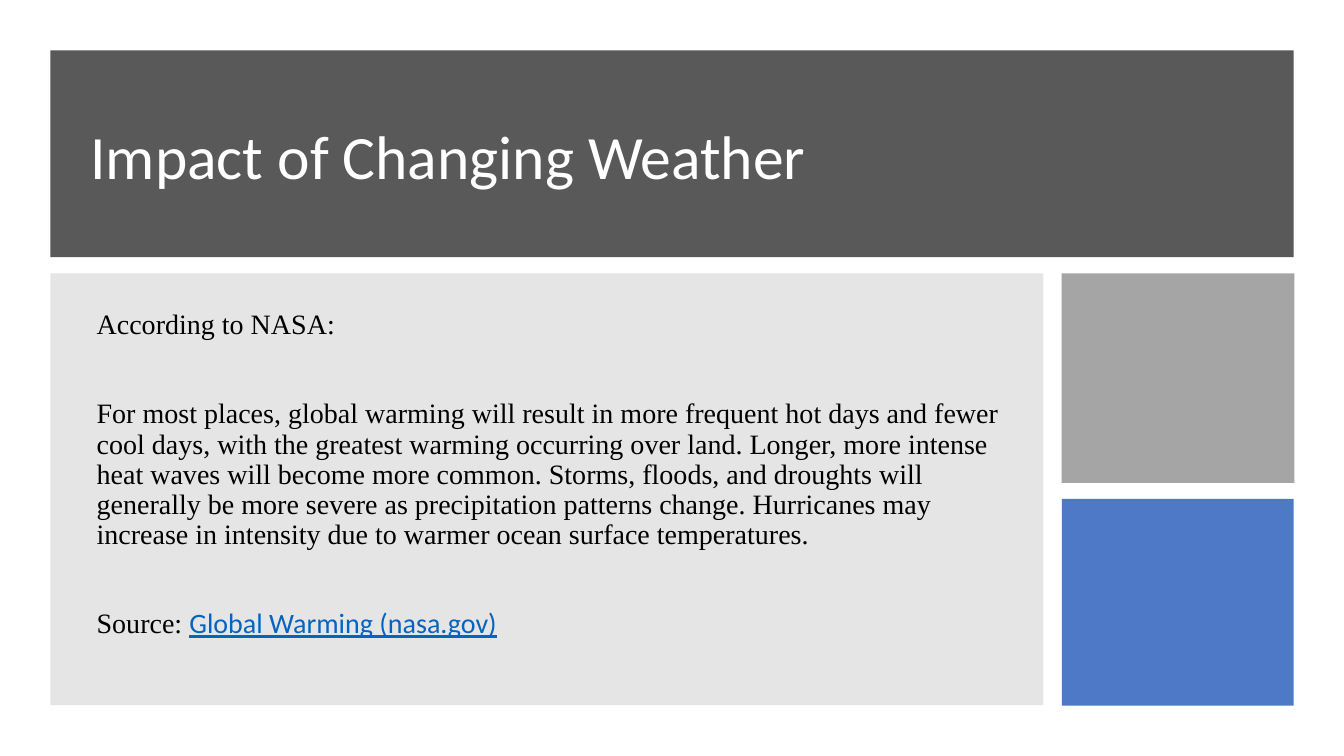
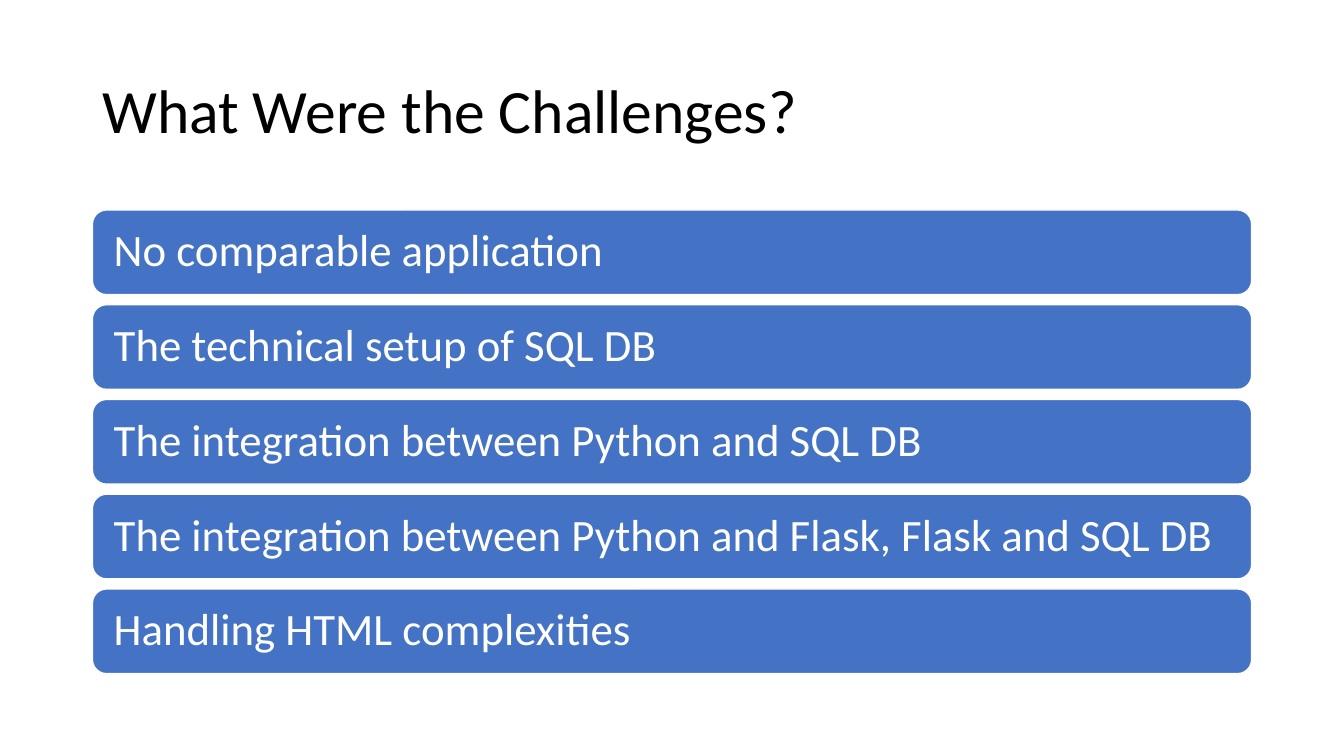
from lxml.etree import SubElement
from pptx import Presentation
from pptx.dml.color import RGBColor
from pptx.enum.shapes import MSO_SHAPE
from pptx.enum.text import MSO_ANCHOR, PP_ALIGN
from pptx.oxml.ns import qn
from pptx.util import Inches, Pt

COLORS = {
    "white": "FFFFFF", "black": "000000", "charcoal": "595959", "gray": "808080",
    "silver": "A5A5A5", "blue": "4472C4", "link": "0563C1",
}
FORMATS = {
    "title": {"name": "Calibri", "size": Pt(44)},
    "body": {"name": "Times New Roman", "size": Pt(20)},
    "source": {"name": "Calibri", "size": Pt(20), "underline": True},
    "bar": {"name": "Calibri", "size": Pt(32)},
}
COLUMNS, ROWS = 80, 45
CHALLENGES = [
    "No comparable application",
    "The technical setup of SQL DB",
    "The integration between Python and SQL DB",
    "The integration between Python and Flask, Flask and SQL DB",
    "Handling HTML complexities",
]
WARMING = (
    "For most places, global warming will result in more frequent hot days and fewer "
    "cool days, with the greatest warming occurring over land. Longer, more intense "
    "heat waves will become more common. Storms, floods, and droughts will generally "
    "be more severe as precipitation patterns change. Hurricanes may increase in "
    "intensity due to warmer ocean surface temperatures."
)


class Painter:
    """Draws styled elements on the current slide, placed in columns and rows."""

    def __init__(self):
        self.deck = Presentation()
        self.deck.slide_width, self.deck.slide_height = Inches(13.33), Inches(7.5)
        self.page = None

    def new_page(self):
        self.page = self.deck.slides.add_slide(self.deck.slide_layouts[6])

    def place(self, left, top, width, height):
        column = self.deck.slide_width / COLUMNS
        row = self.deck.slide_height / ROWS
        return [round(n) for n in (left * column, top * row, width * column, height * row)]

    def block(self, area, color, opacity=100, preset=MSO_SHAPE.RECTANGLE):
        shape = self.page.shapes.add_shape(preset, *self.place(*area))
        shape.shadow.inherit = False
        shape.fill.solid()
        shape.fill.fore_color.rgb = RGBColor.from_string(COLORS[color])
        shape.line.fill.background()
        if opacity < 100:
            tint = shape.element.spPr.find(qn("a:solidFill")).find(qn("a:srgbClr"))
            SubElement(tint, qn("a:alpha"), val=str(opacity * 1000))
        return shape

    def fill_text(self, shape, paragraphs, anchor=MSO_ANCHOR.MIDDLE, gap=0):
        frame = shape.text_frame
        frame.word_wrap = True
        frame.vertical_anchor = anchor
        for index, spans in enumerate(paragraphs):
            para = frame.add_paragraph() if index else frame.paragraphs[0]
            para.alignment = PP_ALIGN.LEFT
            para.line_spacing = 0.9
            para.space_before = Pt(gap if index else 0)
            for text, style, color in spans:
                span = para.add_run()
                span.text = text
                for key, value in FORMATS[style].items():
                    setattr(span.font, key, value)
                span.font.color.rgb = RGBColor.from_string(COLORS[color])

    def text(self, area, paragraphs, **layout):
        box = self.page.shapes.add_textbox(*self.place(*area))
        self.fill_text(box, paragraphs, **layout)

    def title(self, area, text, color):
        self.text(area, [[(text, "title", color)]])

    def bar(self, area, text):
        shape = self.block(area, "blue", preset=MSO_SHAPE.ROUNDED_RECTANGLE)
        shape.line.color.rgb = RGBColor.from_string(COLORS["white"])
        shape.line.width = Pt(1)
        shape.text_frame.margin_left = shape.text_frame.margin_right = Inches(0.17)
        self.fill_text(shape, [[(text, "bar", "white")]])


def weather_page(painter):
    painter.new_page()
    painter.block((3, 3, 74, 12.3), "charcoal")
    painter.title((4.8, 4.8, 70, 9.36), "Impact of Changing Weather", "white")
    painter.block((3, 16.27, 59.1, 25.7), "gray", opacity=20)
    painter.text(
        (5.16, 18.2, 54.9, 21.7),
        [
            [("According to NASA:", "body", "black")],
            [(WARMING, "body", "black")],
            [("Source: ", "body", "black"), ("Global Warming (nasa.gov)", "source", "link")],
        ],
        anchor=MSO_ANCHOR.TOP,
        gap=42,
    )
    painter.block((63.2, 16.27, 13.85, 12.48), "silver")
    painter.block((63.2, 29.7, 13.8, 12.3), "blue", opacity=95)


def challenges_page(painter):
    painter.new_page()
    painter.title((5.5, 2.4, 69, 8.7), "What Were the Challenges?", "black")
    top, height, gap = 12.5, 5.04, 0.6
    for index, challenge in enumerate(CHALLENGES):
        painter.bar((5.5, top + index * (height + gap), 69, height), challenge)


def main():
    painter = Painter()
    weather_page(painter)
    challenges_page(painter)
    painter.deck.save("out.pptx")


if __name__ == "__main__":
    main()
